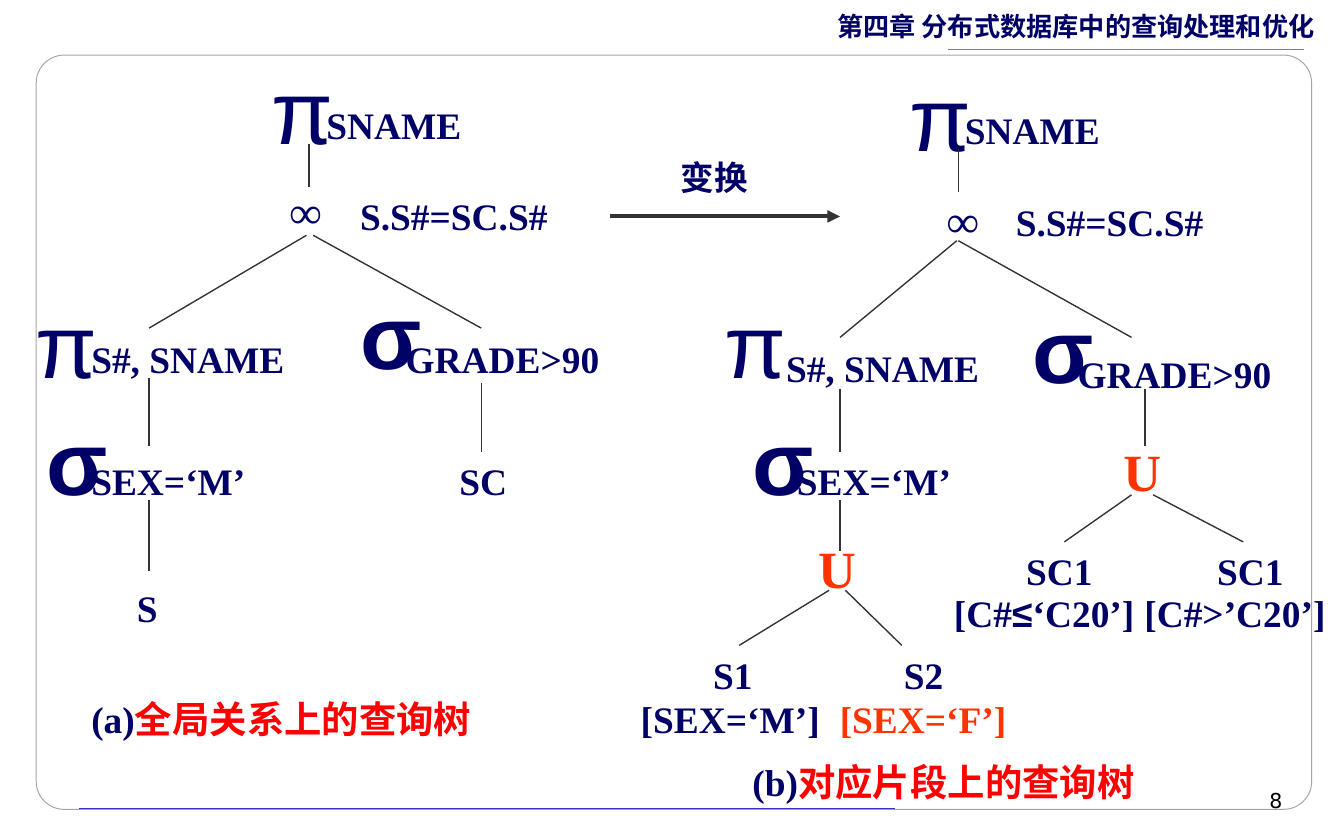
import pptx
import pptx.util
import pptx.dml.color
import pptx.enum.shapes
import pptx.enum.text
import pptx.oxml
import pptx.oxml.ns

Pt = pptx.util.Pt
ALIGN = pptx.enum.text.PP_ALIGN
COLOURS = {
    "ink": "000066", "union": "FF3300", "caption": "FF0000", "edge": "333333",
    "frame": "A5A5A5", "rule": "7F7F7F", "base": "3333CC", "paper": "FFFFFF",
    "black": "000000",
}
HAN = "Noto Sans CJK SC"
FORMATS = {
    "term": {"name": "Times New Roman", "size": Pt(20), "bold": True},
    "symbol": {"name": "Arial", "size": Pt(20), "bold": True},
    "union": {"name": "Times New Roman", "size": Pt(28), "bold": True},
    "join": {"name": "Times New Roman", "size": Pt(24), "bold": True},
    "projection": {"name": "Arial", "size": Pt(48), "bold": False},
    "selection": {"name": "Arial", "size": Pt(48), "bold": True},
    "caption": {"name": "Times New Roman", "size": Pt(20), "bold": True},
    "step": {"name": "Times New Roman", "size": Pt(18), "bold": True},
    "chapter": {"name": HAN, "size": Pt(14), "bold": True},
    "number": {"name": "DejaVu Sans", "size": Pt(11), "bold": False},
}
HAN_FORMATS = ("caption", "step", "chapter")


def rgb(colour):
    return pptx.dml.color.RGBColor.from_string(COLOURS[colour])


def add_element(parent, tag, **attributes):
    element = pptx.oxml.parse_xml(f"<a:{tag} {pptx.oxml.ns.nsdecls('a')}/>")
    for name, value in attributes.items():
        element.set(name, value)
    parent.append(element)


class TreeSlide:
    def __init__(self, presentation):
        self.slide = presentation.slides.add_slide(presentation.slide_layouts[6])

    def frame(self, left, top, width, height):
        shape = self.slide.shapes.add_shape(
            pptx.enum.shapes.MSO_SHAPE.ROUNDED_RECTANGLE,
            Pt(left), Pt(top), Pt(width), Pt(height))
        shape.adjustments[0] = 0.037
        shape.shadow.inherit = False
        shape.fill.solid()
        shape.fill.fore_color.rgb = rgb("paper")
        fill = shape.fill.fore_color._xFill
        add_element(fill[0], "alpha", val="85000")
        shape.line.color.rgb = rgb("frame")
        shape.line.width = Pt(0.5)

    def line(self, x1, y1, x2, y2, colour="edge", width=0.75, arrow=False):
        connector = self.slide.shapes.add_connector(
            pptx.enum.shapes.MSO_CONNECTOR.STRAIGHT, Pt(x1), Pt(y1), Pt(x2), Pt(y2))
        connector.line.color.rgb = rgb(colour)
        connector.line.width = Pt(width)
        if arrow:
            add_element(connector.line._get_or_add_ln(), "tailEnd", type="triangle")
        add_element(connector._element.spPr, "effectLst")

    def text(self, left, top, width, height, runs, align=ALIGN.LEFT):
        shape = self.slide.shapes.add_textbox(Pt(left), Pt(top), Pt(width), Pt(height))
        frame = shape.text_frame
        margins = {"margin_left": Pt(7.2), "margin_right": Pt(7.2),
                   "margin_top": Pt(3.6), "margin_bottom": Pt(3.6), "word_wrap": True}
        for name, value in margins.items():
            setattr(frame, name, value)
        paragraph = frame.paragraphs[0]
        paragraph.alignment = align
        for words, style, colour in runs:
            run = paragraph.add_run()
            run.text = words
            for name, value in FORMATS[style].items():
                setattr(run.font, name, value)
            run.font.color.rgb = rgb(colour)
            if style in HAN_FORMATS:
                add_element(run._r.get_or_add_rPr(), "ea", typeface=HAN)

    def term(self, words, left, top, width, colour="ink"):
        self.text(left, top, width, 32, [(words, "term", colour)])

    def caption(self, mark, words, left, top):
        self.text(left, top, 264, 32,
                  [(mark, "caption", "ink"), (words, "caption", "caption")])


PROJECTIONS = [(138.2, 25.9), (12.2, 151.2), (380.9, 151.2), (480.2, 29.5)]
SELECTIONS = [(185.8, 146.2), (545.8, 154), (18, 213.8), (396, 213.8)]
JOINS = [(138.2, 95), (490.3, 99.4)]
UNIONS = [(431.2, 283.7), (594.7, 231.8)]
TERMS = [
    ("SNAME", 167.8, 51.1, 108), ("SNAME", 509.8, 54, 108),
    ("S.S#=SC.S#", 185.8, 100, 129), ("S.S#=SC.S#", 537.1, 103, 129),
    ("S#, SNAME", 41.8, 176.4, 126), ("S#, SNAME", 414, 181.4, 126),
    ("GRADE>90", 210.2, 176.4, 132), ("GRADE>90", 570.2, 184.3, 132),
    ("SEX=‘M’", 41.8, 241.9, 132), ("SEX=‘M’", 419.8, 241.9, 132),
    ("S", 66.2, 309.6, 48), ("SC", 239, 241.9, 67),
    ("S1", 374.9, 345.6, 51), ("S2", 477.1, 345.6, 51),
    ("[SEX=‘M’]", 336.2, 369.4, 114), ("[SEX=‘F’]", 442.8, 369.4, 109, "union"),
    ("SC1", 542.6, 290.2, 60), ("SC1", 644.9, 290.2, 60),
    ("[C#>’C20’]", 606, 312.5, 114),
]
EDGES = [
    (165.6, 77, 165.6, 100), (164.2, 126, 79.9, 175.7), (167.8, 126, 257.8, 175.7),
    (79.9, 202.3, 79.9, 239), (257.8, 205.2, 257.8, 241.9), (79.9, 267.8, 79.9, 306),
    (513.4, 79.9, 513.4, 103), (512.6, 128.9, 450, 180.7), (513.4, 128.9, 606.2, 180.7),
    (613.4, 208.1, 613.4, 239), (450, 208.1, 450, 241.9), (450, 267.8, 450, 295.2),
    (444.2, 316.1, 396, 345.6), (452.9, 316.1, 483.1, 345.6),
    (606.2, 265, 570.2, 290.2), (617.8, 265, 666, 290.2),
]


def main():
    presentation = pptx.Presentation()
    presentation.slide_width = Pt(720)
    presentation.slide_height = Pt(449.28)
    tree = TreeSlide(presentation)

    tree.frame(19.4, 29.5, 683.3, 403.9)
    tree.line(42.5, 432.7, 479.5, 432.7, "base", 0.25)
    tree.text(441.5, 2.2, 278, 24, [("第四章 分布式数据库中的查询处理和优化", "chapter", "ink")])
    tree.line(698.4, 26.6, 507.6, 26.6, "rule")
    tree.text(514.1, 418.3, 180, 20, [("8", "number", "black")], ALIGN.RIGHT)

    for left, top in PROJECTIONS:
        tree.text(left, top, 96, 65, [("π", "projection", "ink")])
    for left, top in SELECTIONS:
        tree.text(left, top, 48, 65, [("σ", "selection", "ink")])
    for left, top in JOINS:
        tree.text(left, top, 51, 36, [("∞", "join", "ink")], ALIGN.CENTER)
    for left, top in UNIONS:
        tree.text(left, top, 40, 41, [("U", "union", "union")])
    for term in TERMS:
        tree.term(*term)
    tree.text(504, 312.5, 114, 32, [
        ("[C#", "term", "ink"), ("≤", "symbol", "ink"), ("‘C20’]", "term", "ink")])
    for edge in EDGES:
        tree.line(*edge)

    tree.caption("(a)", "全局关系上的查询树", 41.8, 369.4)
    tree.caption("(b)", "对应片段上的查询树", 396, 403.2)
    tree.line(326.9, 115.9, 450, 115.9, width=2.25, arrow=True)
    tree.text(357.5, 80.4, 72, 36, [("变换", "step", "ink")])
    presentation.save("out.pptx")


if __name__ == "__main__":
    main()
